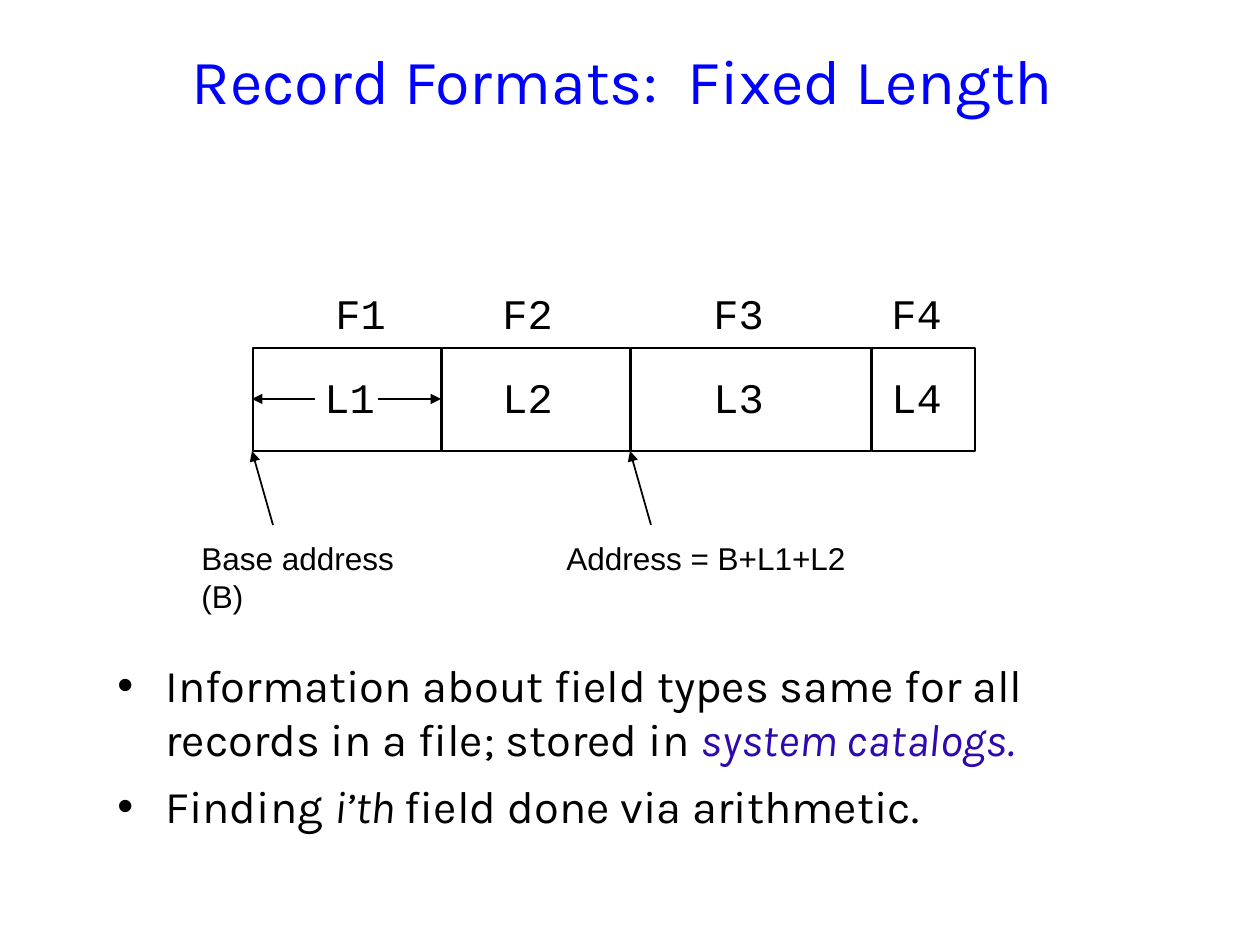
from dataclasses import dataclass

from lxml.etree import SubElement
from pptx import Presentation
from pptx.dml.color import RGBColor
from pptx.enum.shapes import MSO_CONNECTOR, MSO_SHAPE
from pptx.enum.text import MSO_ANCHOR, MSO_AUTO_SIZE, PP_ALIGN
from pptx.oxml.ns import qn
from pptx.util import Emu, Pt


@dataclass(frozen=True)
class Theme:
    ink: str = "000000"
    blue: str = "0000FF"
    term: str = "2E09AE"
    sans: str = "Karla"
    mono: str = "Courier New"
    label: str = "Arial"
    head: float = 36
    body: float = 25.9
    field: float = 24
    note: float = 18


THEME = Theme()
# Name, box width, left of the name, left of the length
FIELDS = [("1", 188, 323, 312), ("2", 188, 490, 490),
          ("3", 240, 701, 701), ("4", 103, 879, 879)]
LEFT, TOP, HIGH, GAP = 253, 348, 103, 1
POINTS = [
    [("Information about field types same for all records in a file; stored in ", False, THEME.ink),
     ("system catalogs.", True, THEME.term)],
    [("Finding ", False, THEME.ink), ("i’th ", True, THEME.ink),
     ("field done via arithmetic.", False, THEME.ink)],
]


def px(count):
    return Emu(round(count * 914400 / 126))


def place(shape, *box):
    shape.left, shape.top, shape.width, shape.height = map(px, box)


def style(font, name, size, color):
    font.name, font.size = name, Pt(size)
    font.color.rgb = RGBColor.from_string(color)


def add_title(slide, text):
    title = slide.shapes.title
    place(title, 179, 0, 987, 158)
    frame = title.text_frame
    frame.text = text
    frame.auto_size = MSO_AUTO_SIZE.NONE
    frame.vertical_anchor = MSO_ANCHOR.MIDDLE
    para = frame.paragraphs[0]
    para.alignment = PP_ALIGN.LEFT
    style(para.font, THEME.sans, THEME.head, THEME.blue)


def add_label(slide, text, box, name, size):
    shape = slide.shapes.add_textbox(*map(px, box))
    frame = shape.text_frame
    frame.text = text
    frame.word_wrap = False
    frame.auto_size = MSO_AUTO_SIZE.SHAPE_TO_FIT_TEXT
    style(frame.paragraphs[0].font, name, size, THEME.ink)


def add_box(slide, *box):
    shape = slide.shapes.add_shape(MSO_SHAPE.RECTANGLE, *map(px, box))
    shape.shadow.inherit = False
    shape.fill.background()
    shape.line.color.rgb = RGBColor.from_string(THEME.ink)
    shape.line.width = Pt(1)


def add_arrow(slide, *ends):
    line = slide.shapes.add_connector(MSO_CONNECTOR.STRAIGHT, *map(px, ends))
    line.line.color.rgb = RGBColor.from_string(THEME.ink)
    line.line.width = Pt(1)
    props = line.line._get_or_add_ln()
    SubElement(props, qn("a:tailEnd"), type="triangle")
    SubElement(props.getparent(), qn("a:effectLst"))


def add_bullet(para):
    props = para._p.get_or_add_pPr()
    indent = px(48)
    props.set("marL", str(indent))
    props.set("indent", str(-indent))
    color = SubElement(props, qn("a:buClr"))
    SubElement(color, qn("a:srgbClr"), val=THEME.ink)
    SubElement(props, qn("a:buFont"), typeface=THEME.label)
    SubElement(props, qn("a:buChar"), char="•")


def add_points(slide, points, *box):
    frame = slide.shapes.add_textbox(*map(px, box)).text_frame
    frame.word_wrap = True
    for index, parts in enumerate(points):
        para = frame.add_paragraph() if index else frame.paragraphs[0]
        add_bullet(para)
        if index:
            para.space_before = Pt(7)
        style(para.font, THEME.sans, THEME.body, THEME.ink)
        for text, slant, color in parts:
            run = para.add_run()
            run.text = text
            run.font.italic = slant
            style(run.font, THEME.sans, THEME.body, color)


def add_record(slide):
    left = LEFT
    for key, wide, name, size in FIELDS:
        add_box(slide, left, TOP, wide, HIGH)
        add_label(slide, "F" + key, (name, 281, 76, 63), THEME.mono, THEME.field)
        add_label(slide, "L" + key, (size, 365, 76, 63), THEME.mono, THEME.field)
        left += wide + GAP
    for start, end in [(315, 252), (378, 441)]:
        add_arrow(slide, start, 399, end, 399)


def add_address(slide, text, tip, *box):
    add_arrow(slide, tip + 21, 525, tip, 451)
    add_label(slide, text, box, THEME.label, THEME.note)


def main():
    deck = Presentation()
    deck.slide_width, deck.slide_height = px(1260), px(945)
    slide = deck.slides.add_slide(deck.slide_layouts[5])
    add_title(slide, "Record Formats:  Fixed Length")
    add_points(slide, POINTS, 105, 651, 1008, 252)
    add_record(slide)
    add_address(slide, "Base address (B)", 252, 189, 533, 268, 50)
    add_address(slide, "Address = B+L1+L2", 630, 554, 533, 305, 50)
    deck.save("out.pptx")


if __name__ == "__main__":
    main()
